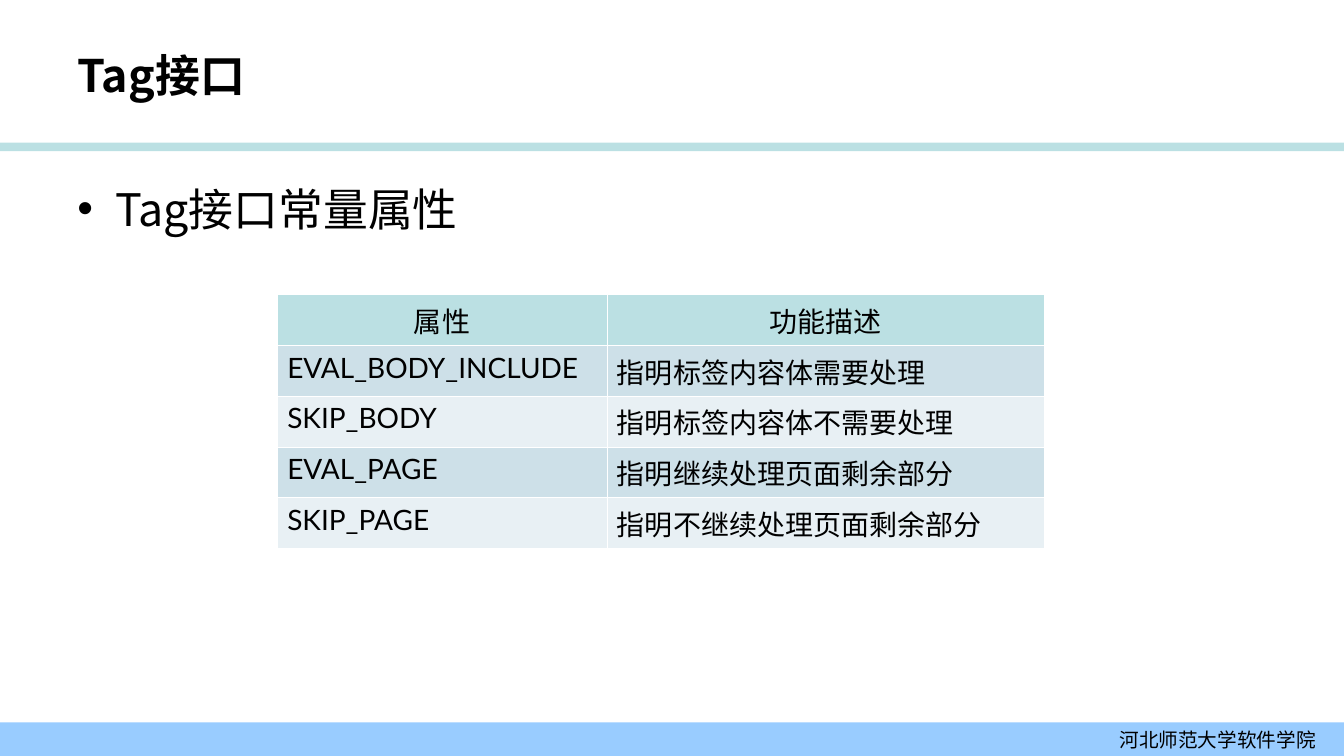
from lxml.etree import SubElement as Sub
from pptx import Presentation
from pptx.dml.color import RGBColor
from pptx.enum.shapes import MSO_SHAPE as Shape
from pptx.enum.text import MSO_ANCHOR as Anchor, MSO_AUTO_SIZE as Auto, PP_ALIGN as Align
from pptx.oxml.ns import qn
from pptx.util import Pt

TITLE = "Tag接口"
POINT = "Tag接口常量属性"
SCHOOL = "河北师范大学软件学院"
ROWS = [
    ("属性", "功能描述"),
    ("EVAL_BODY_INCLUDE", "指明标签内容体需要处理"),
    ("SKIP_BODY", "指明标签内容体不需要处理"),
    ("EVAL_PAGE", "指明继续处理页面剩余部分"),
    ("SKIP_PAGE", "指明不继续处理页面剩余部分"),
]
WIDTHS = (235.5, 312.5)
ROW_H = 31.25
WIDE, HIGH = 960, 540
BLACK, WHITE, TEAL, BLUE = "000000", "FFFFFF", "BBE0E3", "99CCFF"
BANDS = ("E8F0F4", "CDE0E8")
SANS, LATIN = "Noto Sans CJK SC", "Lato"


def paint(fill, color):
    fill.solid()
    fill.fore_color.rgb = RGBColor.from_string(color)


def place(item, left, top, width, height):
    item.left, item.top = Pt(left), Pt(top)
    item.width, item.height = Pt(width), Pt(height)


def write(frame, text, size, face=SANS, bold=False, align=Align.LEFT):
    frame.text = text
    par = frame.paragraphs[0]
    par.alignment = align
    font = par.font
    font.size, font.name, font.bold = Pt(size), face, bold
    font.color.rgb = RGBColor.from_string(BLACK)
    Sub(par._p.pPr.find(qn("a:defRPr")), qn("a:ea"), typeface=SANS)
    return par


def bar(slide, top, height, color):
    rect = slide.shapes.add_shape(Shape.RECTANGLE, 0, Pt(top), Pt(WIDE), Pt(height))
    rect.shadow.inherit = False
    paint(rect.fill, color)
    rect.line.fill.background()
    return rect


def edge(cell, side, width):
    props = cell._tc.get_or_add_tcPr()
    line = Sub(props, qn(f"a:ln{side}"), w=str(Pt(width)))
    Sub(Sub(line, qn("a:solidFill")), qn("a:srgbClr"), val=WHITE)


def grid(slide):
    shape = slide.shapes.add_table(len(ROWS), len(WIDTHS), Pt(198), Pt(210.5),
                                   Pt(sum(WIDTHS)), Pt(ROW_H * len(ROWS)))
    table = shape.table
    for col, width in zip(table.columns, WIDTHS):
        col.width = Pt(width)
    for r, row in enumerate(ROWS):
        table.rows[r].height = Pt(ROW_H)
        for c, text in enumerate(row):
            cell = table.cell(r, c)
            write(cell.text_frame, text, 20, LATIN,
                  align=Align.LEFT if r else Align.CENTER)
            for side in "LRTB":
                thick = (r, side) in ((0, "B"), (1, "T"))
                edge(cell, side, 1.5 if thick else 0.5)
            paint(cell.fill, BANDS[r % 2] if r else TEAL)


def main():
    deck = Presentation()
    deck.slide_width, deck.slide_height = Pt(WIDE), Pt(HIGH)
    slide = deck.slides.add_slide(deck.slide_layouts[1])
    title, body = slide.placeholders

    bar(slide, 102, 6, TEAL)
    foot = bar(slide, 516, 24, BLUE).text_frame
    foot.margin_right = Pt(20)
    foot.vertical_anchor = Anchor.MIDDLE
    write(foot, SCHOOL, 14, align=Align.RIGHT)

    place(title, 48, 21.5, 768, 63)
    title.text_frame.vertical_anchor = Anchor.MIDDLE
    write(title.text_frame, TITLE, 32, bold=True)

    place(body, 48, 126, 864, 356)
    write(body.text_frame, POINT, 32).space_before = Pt(8)
    for item in (title, body):
        item.text_frame.auto_size = Auto.NONE

    grid(slide)
    deck.save("out.pptx")


if __name__ == "__main__":
    main()
